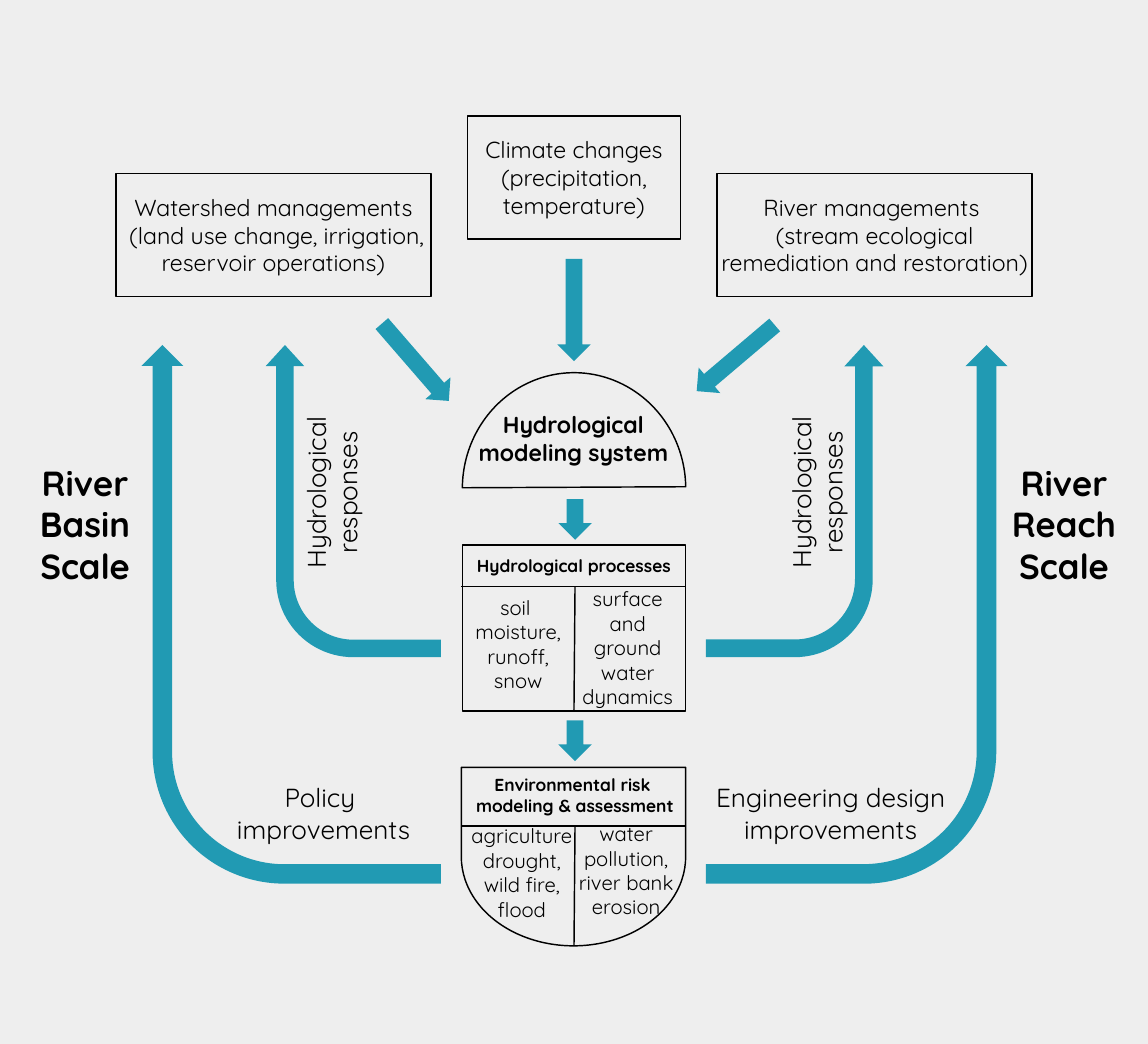
from lxml import etree
from pptx import Presentation
from pptx import util as u
from pptx.dml.color import RGBColor
from pptx.enum import shapes, text
from pptx.oxml.ns import qn

GREY = RGBColor(0xEE, 0xEE, 0xEE)
BLACK = RGBColor(0, 0, 0)
TEAL = RGBColor(0x21, 0x9A, 0xB3)
FONT = "Quicksand"
KIND = shapes.MSO_SHAPE
CENTRE_X = 5.5


class Diagram:
    def __init__(self, deck):
        self.page = deck.slides.add_slide(deck.slide_layouts[6])
        self.page.background.fill.solid()
        self.page.background.fill.fore_color.rgb = GREY

    def set_words(self, shape, words, size, bold=False):
        frame = shape.text_frame
        frame.text = words
        for para in frame.paragraphs:
            para.alignment = text.PP_ALIGN.CENTER
            para.font.name = FONT
            para.font.size = u.Pt(size)
            para.font.bold = bold
            para.font.color.rgb = BLACK

    def shape(self, kind, place, fill, rotation=0, adjustments=()):
        shape = self.page.shapes.add_shape(kind, *map(u.Inches, place))
        shape.shadow.inherit = False
        shape.rotation = rotation
        for index, value in enumerate(adjustments):
            shape.adjustments[index] = value
        shape.fill.solid()
        shape.fill.fore_color.rgb = fill
        shape.line.fill.background()
        return shape

    def outlined(self, kind, place, rotation=0, adjustments=()):
        shape = self.shape(kind, place, GREY, rotation, adjustments)
        shape.line.color.rgb = BLACK
        shape.line.width = u.Pt(1)
        return shape

    def driver(self, place, words, inset):
        box = self.outlined(KIND.RECTANGLE, place)
        self.set_words(box, words, 16)
        frame = box.text_frame
        frame.word_wrap = True
        frame.vertical_anchor = text.MSO_ANCHOR.MIDDLE
        frame.margin_left = frame.margin_right = u.Inches(inset)
        frame.margin_top = frame.margin_bottom = u.Inches(0.01)

    def arrow(self, left, top, height, rotation=0):
        self.shape(KIND.DOWN_ARROW, (left, top, 0.32, height), TEAL, rotation)

    def feedback(self, place, adjustments, on_left):
        """Draw a bent arrow that leaves the centre and turns upwards."""
        arrow = self.shape(KIND.BENT_ARROW, place, TEAL, 90, adjustments)
        frame = arrow._element.spPr.find(qn("a:xfrm"))
        frame.set("flipH", "1")
        if on_left:
            frame.set("flipV", "1")

    def label(self, place, words, size, bold=False, wrap=True, rotation=0):
        box = self.page.shapes.add_textbox(*map(u.Inches, place))
        box.rotation = rotation
        self.set_words(box, words, size, bold)
        box.text_frame.word_wrap = wrap
        box.text_frame.auto_size = text.MSO_AUTO_SIZE.SHAPE_TO_FIT_TEXT

    def rule(self, start, end):
        line = self.page.shapes.add_connector(
            shapes.MSO_CONNECTOR.STRAIGHT, *map(u.Inches, (*start, *end)))
        line.line.color.rgb = BLACK
        line.line.width = u.Pt(1)
        etree.SubElement(line._element.spPr, qn("a:effectLst"))
        return line

    def dividers(self, top, bottom):
        """Draw the line under a heading and return the one between its columns."""
        self.rule((4.42, top), (6.57, top))
        return self.rule((CENTRE_X + 0.01, top), (CENTRE_X, bottom))


def main():
    deck = Presentation()
    deck.slide_width, deck.slide_height = u.Inches(11), u.Inches(10)
    diagram = Diagram(deck)

    # Drivers
    diagram.driver((4.48, 1.11, 2.04, 1.18),
                   "Climate changes\n(precipitation, temperature)", 0.1)
    diagram.driver((6.87, 1.66, 3.02, 1.18),
                   "River managements \n(stream ecological remediation and restoration)", 0.01)
    diagram.driver((1.11, 1.66, 3.02, 1.18),
                   "Watershed managements\n (land use change, irrigation, reservoir operations)", 0.01)
    for left, top, rotation in ((5.34, 2.48, 0), (6.89, 2.94, 49.7), (3.82, 2.98, 319.1)):
        diagram.arrow(left, top, 0.98, rotation)

    # Modeling system
    diagram.outlined(KIND.CHORD, (4.39, 3.61, 2.22, 2.14), 90, (54.25, 161.43))
    diagram.label((4.47, 3.88, 2.05, 0.64), "Hydrological\nmodeling system", 16,
                  bold=True, wrap=False)

    # Processes
    process_box = diagram.outlined(KIND.RECTANGLE, (4.43, 5.22, 2.14, 1.59))
    diagram.dividers(5.62, 6.81).end_connect(process_box, 2)
    diagram.label((4.17, 5.27, 2.66, 0.3), "Hydrological processes", 12, bold=True)
    diagram.label((4.26, 5.65, 1.41, 1.04), "soil \nmoisture,\nrunoff,\nsnow", 14)
    diagram.label((5.41, 5.57, 1.21, 1.28), "surface and ground water dynamics", 14)

    # Risk assessment
    diagram.outlined(KIND.FLOWCHART_DELAY, (4.64, 7.13, 1.71, 2.15), 90)
    diagram.dividers(7.91, 9.06)
    diagram.label((4.18, 7.37, 2.66, 0.5),
                  "Environmental risk \nmodeling & assessment", 12, bold=True)
    diagram.label((4.39, 7.84, 1.22, 1.04), "agriculture\ndrought,\nwild fire,\nflood", 14,
                  wrap=False)
    diagram.label((5.35, 7.82, 1.3, 1.04), "water pollution,\nriver bank erosion", 14)
    for top in (4.78, 6.9):
        diagram.arrow(5.35, top, 0.39)

    # Feedback to the drivers
    inner, outer = (0.1, 0.11, 0.12, 0.44), (0.065, 0.07, 0.07, 0.44)
    diagram.feedback((1.89, 3.96, 2.99, 1.68), inner, on_left=True)
    diagram.feedback((6.12, 3.95, 2.99, 1.7), inner, on_left=False)
    diagram.feedback((0.21, 4.45, 5.16, 2.87), outer, on_left=True)
    diagram.feedback((5.63, 4.44, 5.16, 2.89), outer, on_left=False)
    for left in (1.85, 6.5):
        diagram.label((left, 4.36, 2.66, 0.71), "Hydrological responses", 18, rotation=270)
    diagram.label((1.77, 7.44, 2.66, 0.71), "Policy \nimprovements", 18)
    diagram.label((6.63, 7.44, 2.66, 0.71), "Engineering design improvements", 18)

    # Scales
    for left, width, scale in ((0.26, 1.11, "Basin"), (9.57, 1.25, "Reach")):
        diagram.label((left, 4.37, width, 1.31), f"River\n{scale}\nScale", 24,
                      bold=True, wrap=False)

    deck.save("out.pptx")


if __name__ == "__main__":
    main()
